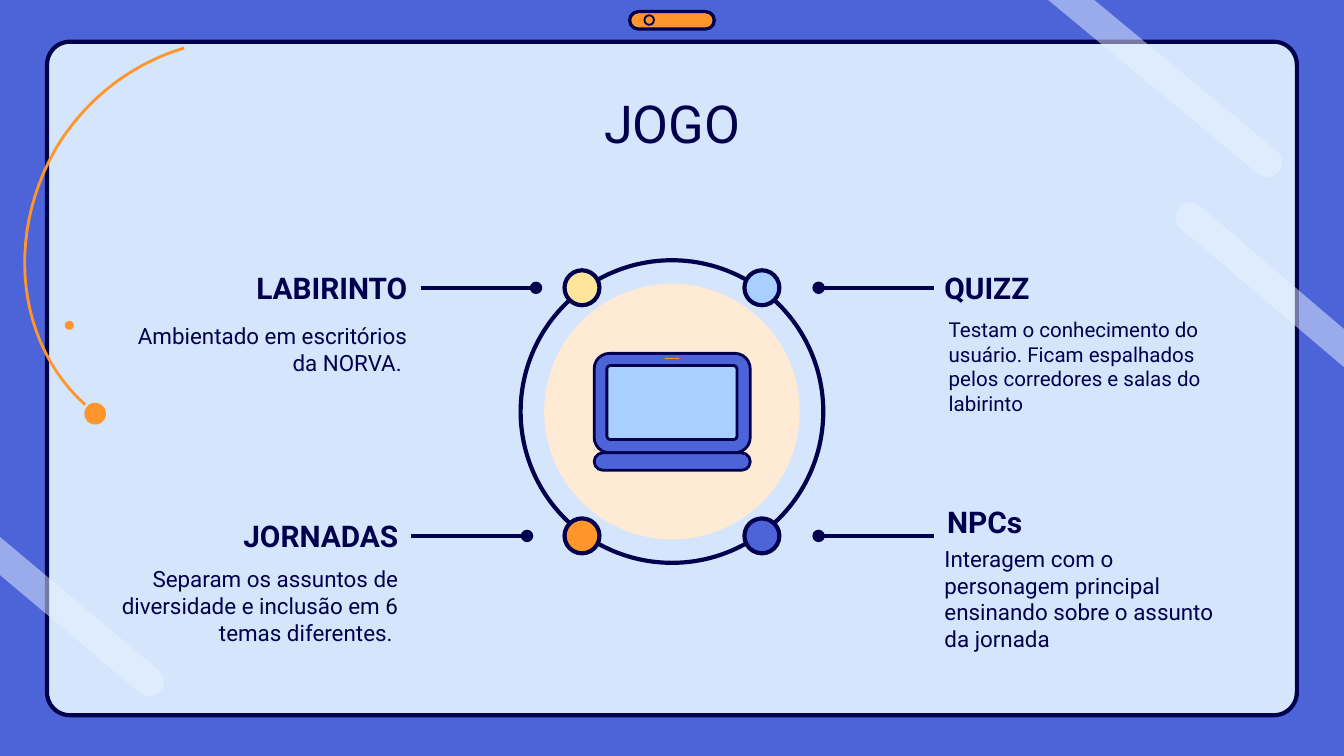
import math

import pptx
import pptx.dml.color
import pptx.enum.shapes
import pptx.enum.text
import pptx.oxml
import pptx.oxml.ns
import pptx.util

Cm = pptx.util.Cm
Pt = pptx.util.Pt
SHAPE = pptx.enum.shapes.MSO_SHAPE
ALIGN = pptx.enum.text.PP_ALIGN
ANCHOR = pptx.enum.text.MSO_ANCHOR

FONT = "Roboto"
COLORS = {
    "blue": "4C64D8",
    "panel": "D5E6FC",
    "navy": "00004D",
    "orange": "FF952B",
    "beam": "E9F3FF",
    "peach": "FFEAD5",
    "sky": "A8CFFF",
    "yellow": "FFE599",
}

# heading, body, body size, align, heading position, body position,
# connector start and end x, node centre x, row y, node colour
TOPICS = [
    ("LABIRINTO", "Ambientado em escritórios da NORVA. ", 12, ALIGN.RIGHT,
     (2.18, 4.95), (2.18, 5.77), 7.95, 10.13, 11, 5.44, "yellow"),
    ("QUIZZ", "Testam o conhecimento do usuário. Ficam espalhados pelos "
     "corredores e salas do labirinto", 11, ALIGN.LEFT,
     (17.6, 4.95), (17.68, 6.1), 17.65, 15.47, 14.4, 5.44, "sky"),
    ("JORNADAS", "Separam os assuntos de diversidade e inclusão em 6 temas "
     "diferentes. ", 12, ALIGN.RIGHT,
     (2.01, 9.63), (2.01, 10.62), 7.77, 9.96, 11, 10.13, "orange"),
    ("NPCs", "Interagem com o personagem principal ensinando sobre o assunto "
     "da jornada", 12, ALIGN.LEFT,
     (17.65, 9.37), (17.6, 10.49), 17.65, 15.47, 14.4, 10.13, "blue"),
]


def rgb(name):
    return pptx.dml.color.RGBColor.from_string(COLORS[name])


def paint(shape, fill=None, line=None, width=2.25):
    shape.shadow.inherit = False
    if fill:
        shape.fill.solid()
        shape.fill.fore_color.rgb = rgb(fill)
    else:
        shape.fill.background()
    if line:
        shape.line.color.rgb = rgb(line)
        shape.line.width = Pt(width)
    else:
        shape.line.fill.background()


def add_rounded(slide, left, top, width, height, corner, fill, line_width):
    box = slide.shapes.add_shape(SHAPE.ROUNDED_RECTANGLE, Cm(left), Cm(top),
                                 Cm(width), Cm(height))
    box.adjustments[0] = corner
    paint(box, fill, "navy", line_width)


def add_circle(slide, x, y, diameter, fill=None, line=None, width=2.25):
    circle = slide.shapes.add_shape(
        SHAPE.OVAL, Cm(x - diameter / 2), Cm(y - diameter / 2),
        Cm(diameter), Cm(diameter))
    paint(circle, fill, line, width)


def add_outline(slide, points, close):
    corners = [(Cm(x), Cm(y)) for x, y in points]
    builder = slide.shapes.build_freeform(*corners[0], scale=1.0)
    builder.add_line_segments(corners[1:], close=close)
    return builder.convert_to_shape()


def add_beam(slide, first_edge, last_edge, cap, heading, radius=0.28):
    """Translucent strip from the slide edge to a round cap."""
    angles = [math.radians(heading + 90 - step) for step in range(0, 181, 10)]
    arc = [(cap[0] + radius * math.cos(a), cap[1] + radius * math.sin(a))
           for a in angles]
    beam = add_outline(slide, [first_edge, *arc, last_edge], True)
    paint(beam, "beam")
    color = beam.fill._xPr.find(".//" + pptx.oxml.ns.qn("a:srgbClr"))
    color.append(pptx.oxml.parse_xml(
        f'<a:alpha {pptx.oxml.ns.nsdecls("a")} val="50000"/>'))


def bezier(a, b, c, d, steps=24):
    def at(t, axis):
        s = 1 - t
        return (s**3 * a[axis] + 3 * s * s * t * b[axis]
                + 3 * s * t * t * c[axis] + t**3 * d[axis])
    return [(at(i / steps, 0), at(i / steps, 1)) for i in range(steps + 1)]


def add_line(slide, start, end, color, width, dot_end=False):
    line = slide.shapes.add_connector(
        pptx.enum.shapes.MSO_CONNECTOR.STRAIGHT,
        Cm(start[0]), Cm(start[1]), Cm(end[0]), Cm(end[1]))
    line.line.color.rgb = rgb(color)
    line.line.width = Pt(width)
    namespace = pptx.oxml.ns.nsdecls("a")
    if dot_end:
        line.line._get_or_add_ln().append(
            pptx.oxml.parse_xml(f'<a:tailEnd {namespace} type="oval"/>'))
    line._element.spPr.append(pptx.oxml.parse_xml(f"<a:effectLst {namespace}/>"))


def write(shape, text, size, align, anchor, bold=False):
    frame = shape.text_frame
    frame.text = text
    frame.word_wrap = True
    frame.vertical_anchor = anchor
    frame.margin_left = frame.margin_right = Cm(0.25)
    frame.margin_top = frame.margin_bottom = Cm(0.25)
    paragraph = frame.paragraphs[0]
    paragraph.alignment = align
    font = paragraph.runs[0].font
    font.name, font.size, font.bold = FONT, Pt(size), bold
    font.color.rgb = rgb("navy")


def add_text(slide, position, height, text, size, align, bold=False):
    box = slide.shapes.add_textbox(Cm(position[0]), Cm(position[1]),
                                   Cm(5.77), Cm(height))
    write(box, text, size, align, ANCHOR.MIDDLE, bold)


def add_frame(slide):
    slide.background.fill.solid()
    slide.background.fill.fore_color.rgb = rgb("blue")
    add_rounded(slide, 0.89, 0.79, 23.62, 12.73, 0.034, "panel", 2.25)

    # Camera pill
    add_rounded(slide, 11.9, 0.22, 1.6, 0.33, 0.5, "orange", 1.75)
    add_circle(slide, 12.27, 0.38, 0.18, line="navy", width=1)

    # Orbit with its dots
    orbit = (bezier((1.61, 7.65), (0.36, 6.53), (0.08, 4.52), (1.05, 2.82))
             + bezier((1.05, 2.82), (1.64, 1.83), (2.54, 1.19), (3.48, 0.91))[1:])
    paint(add_outline(slide, orbit, False), line="orange", width=1.5)
    add_circle(slide, 1.31, 6.15, 0.17, "orange")
    add_circle(slide, 1.8, 7.82, 0.41, "orange")

    # Light beams
    add_beam(slide, (19.81, 0), (20.68, 0), (23.95, 3.07), 40)
    add_beam(slide, (0, 10.87), (0, 10.15), (2.82, 12.88), 40)
    add_beam(slide, (25.4, 6.22), (25.4, 6.94), (22.5, 4.11), 220)


def add_title(slide):
    title = slide.shapes.title
    title.left, title.top = Cm(2.01), Cm(1.47)
    title.width, title.height = Cm(21.39), Cm(1.6)
    write(title, "JOGO", 28, ALIGN.CENTER, ANCHOR.TOP)
    slide.shapes._spTree.append(title._element)  # in front of the panel


def add_hub(slide):
    add_circle(slide, 12.7, 7.78, 4.83, "peach")
    add_circle(slide, 12.7, 7.78, 5.72, line="navy")

    # Laptop
    add_rounded(slide, 11.23, 6.68, 2.95, 1.88, 0.155, "blue", 1.5)
    add_rounded(slide, 11.47, 6.91, 2.46, 1.4, 0.05, "sky", 1.5)
    add_line(slide, (12.57, 6.78), (12.83, 6.78), "orange", 0.75)
    add_rounded(slide, 11.23, 8.56, 2.95, 0.33, 0.5, "blue", 1.5)


def add_topic(slide, heading, body, size, align, heading_at, body_at,
              line_start, line_end, node_x, row_y, color):
    add_text(slide, body_at, 1.65, body, size, align)
    add_text(slide, heading_at, 0.99, heading, 16, align, bold=True)
    add_line(slide, (line_start, row_y), (line_end, row_y), "navy", 2.25, True)
    add_circle(slide, node_x, row_y, 0.66, color, "navy")


def main():
    deck = pptx.Presentation()
    deck.slide_width, deck.slide_height = Cm(25.4), Cm(14.29)
    slide = deck.slides.add_slide(deck.slide_layouts[5])
    add_frame(slide)
    add_title(slide)
    add_hub(slide)
    for topic in TOPICS:
        add_topic(slide, *topic)
    deck.save("out.pptx")


if __name__ == "__main__":
    main()
